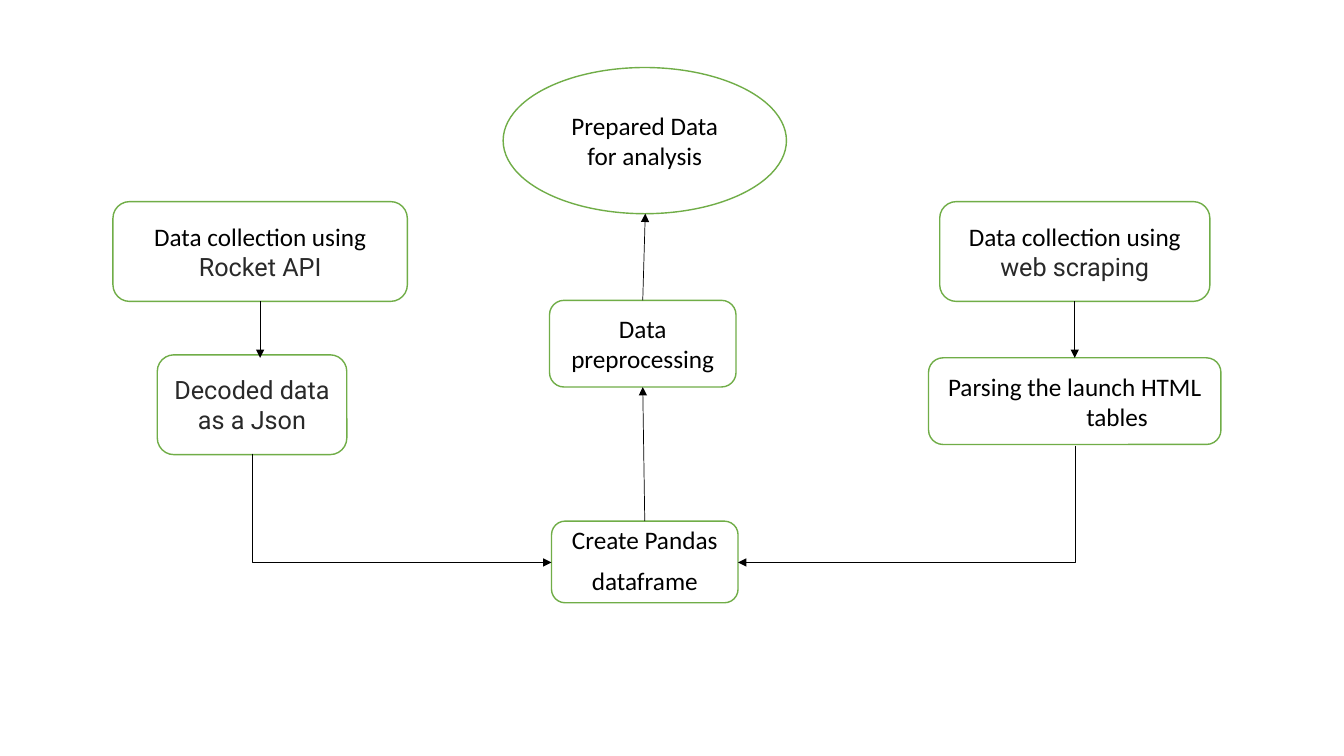
from lxml import etree
from pptx import Presentation
from pptx.dml.color import RGBColor
from pptx.enum.shapes import MSO_CONNECTOR as CONN, MSO_SHAPE as SHAPE
from pptx.enum.text import MSO_ANCHOR, PP_ALIGN
from pptx.oxml.ns import qn
from pptx.util import Inches, Pt

BLACK, GREY, GREEN, WHITE = "000000", "292929", "70AD47", "FFFFFF"
TOP, LEFT, BOTTOM, RIGHT = range(4)


def rgb(value):
    return RGBColor.from_string(value)


def style_font(font, name="Calibri", color=BLACK):
    font.name, font.size = name, Pt(18)
    font.color.rgb = rgb(color)


def add_node(slide, box, kind=SHAPE.ROUNDED_RECTANGLE):
    """Add an outlined flowchart node and return it with its first paragraph."""
    sp = slide.shapes.add_shape(kind, *map(Inches, box))
    sp.shadow.inherit = False
    sp.fill.solid()
    sp.fill.fore_color.rgb = rgb(WHITE)
    sp.line.color.rgb = rgb(GREEN)
    sp.line.width = Pt(1)
    tf = sp.text_frame
    tf.word_wrap = True
    tf.vertical_anchor = MSO_ANCHOR.MIDDLE
    p = tf.paragraphs[0]
    p.alignment = PP_ALIGN.CENTER
    return sp, p


def add_text_node(slide, box, lines, kind=SHAPE.ROUNDED_RECTANGLE, **font):
    sp, p = add_node(slide, box, kind)
    for i, line in enumerate(lines):
        if i:
            p = sp.text_frame.add_paragraph()
            p.alignment = PP_ALIGN.CENTER
        p.text = line
        style_font(p.font, **font)
    return sp


def add_collection_node(slide, box, method):
    sp, p = add_node(slide, box)
    for text, name, color in (("Data collection using ", "Calibri", BLACK),
                              (method, "Roboto", GREY)):
        r = p.add_run()
        r.text = text
        style_font(r.font, name, color)
    return sp


def add_arrow(slide, start, end, kind=CONN.STRAIGHT):
    cx = slide.shapes.add_connector(kind, *map(Inches, start + end))
    cx.line.color.rgb = rgb(BLACK)
    cx.line.width = Pt(0.5)
    ln = cx.line._get_or_add_ln()
    etree.SubElement(ln, qn("a:tailEnd"), type="triangle")
    etree.SubElement(cx._element.spPr, qn("a:effectLst"))
    return cx


def add_elbow(slide, start, end):
    """Add an arrow that runs down from start, then sideways to end."""
    (x1, y1), (x2, y2) = start, end
    mid_x, mid_y = (x1 + x2) / 2, (y1 + y2) / 2
    half_w, half_h = (y2 - y1) / 2, abs(x2 - x1) / 2
    cx = add_arrow(slide, (mid_x - half_w, mid_y - half_h),
                   (mid_x + half_w, mid_y + half_h), CONN.ELBOW)
    spPr = cx._element.spPr
    spPr.find(qn("a:prstGeom")).set("prst", "bentConnector2")
    xfrm = spPr.find(qn("a:xfrm"))
    rightward = x2 > x1
    xfrm.set("rot", str((270 if rightward else 90) * 60000))
    if rightward:
        xfrm.set("flipH", "1")


def main():
    prs = Presentation()
    prs.slide_width, prs.slide_height = Inches(13.33), Inches(7.5)
    slide = prs.slides.add_slide(prs.slide_layouts[6])

    add_text_node(slide, (4.99, 0.67, 2.81, 1.45),
                  ["Prepared Data for analysis"], SHAPE.OVAL)
    api = add_collection_node(slide, (1.12, 2, 2.92, 0.99), "Rocket API")
    scraping = add_collection_node(slide, (9.32, 2, 2.68, 0.99), "web scraping")
    add_text_node(slide, (1.56, 3.52, 1.88, 0.99),
                  ["Decoded data as a Json"], name="Roboto", color=GREY)
    preprocessing = add_text_node(slide, (5.45, 2.98, 1.85, 0.86),
                                  ["Data preprocessing"])
    parsing = add_text_node(slide, (9.21, 3.55, 2.9, 0.86),
                            ["Parsing the launch HTML", "tables"])
    tables = parsing.text_frame.paragraphs[1]
    tables._p.get_or_add_pPr().set("marL", str(Inches(0.84)))
    dataframe = add_text_node(slide, (5.47, 5.17, 1.85, 0.81),
                              ["Create Pandas", "dataframe"])
    for i, p in enumerate(dataframe.text_frame.paragraphs):
        p.line_spacing = 0.9
        p.space_before = Pt(10 * i)

    to_parsing = add_arrow(slide, (10.66, 2.98), (10.67, 3.55))
    to_parsing.begin_connect(scraping, BOTTOM)
    to_parsing.end_connect(parsing, TOP)
    to_decoded = add_arrow(slide, (2.58, 2.98), (2.58, 3.55))
    to_decoded.begin_connect(api, BOTTOM)
    add_elbow(slide, (10.67, 4.42), (7.32, 5.58))
    add_elbow(slide, (2.5, 4.5), (5.47, 5.58))
    to_preprocessing = add_arrow(slide, (6.39, 5.17), (6.38, 3.85))
    to_preprocessing.begin_connect(dataframe, TOP)
    to_preprocessing.end_connect(preprocessing, BOTTOM)
    to_prepared = add_arrow(slide, (6.38, 2.98), (6.4, 2.12))
    to_prepared.begin_connect(preprocessing, TOP)

    prs.save("out.pptx")


if __name__ == "__main__":
    main()
